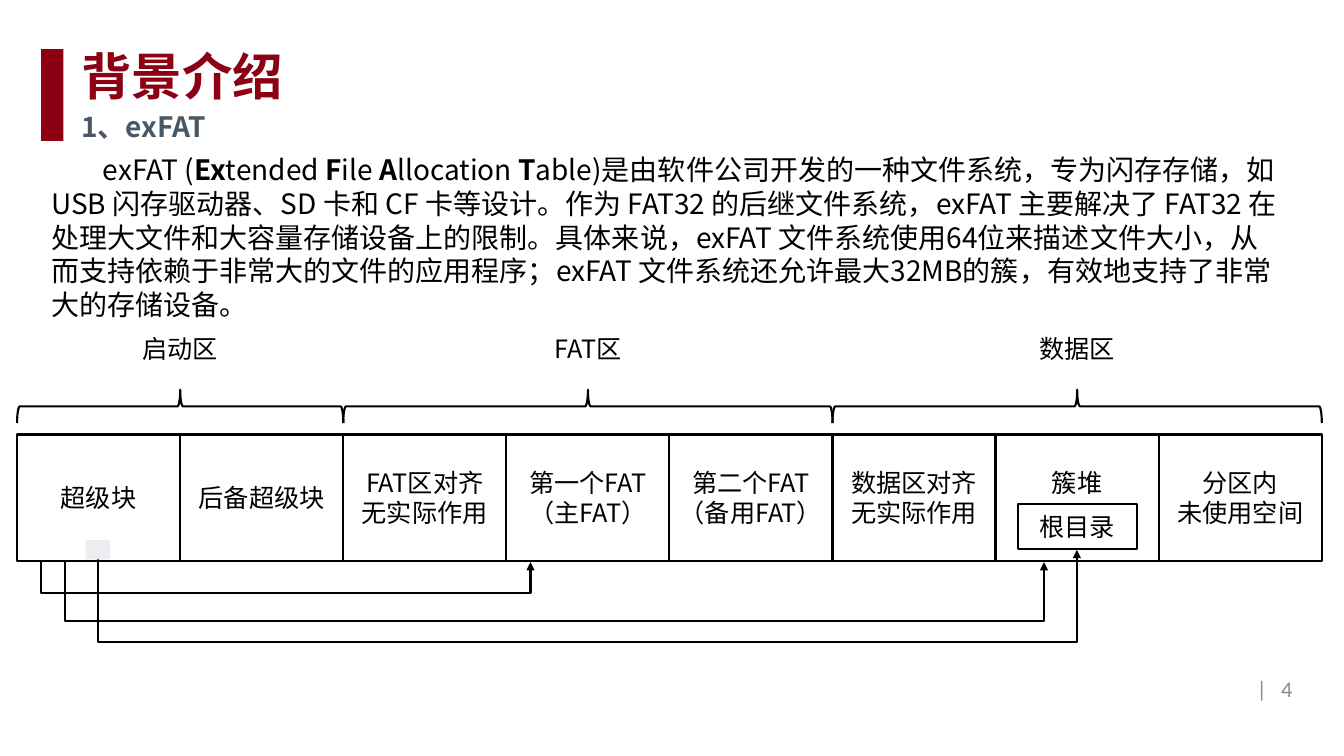
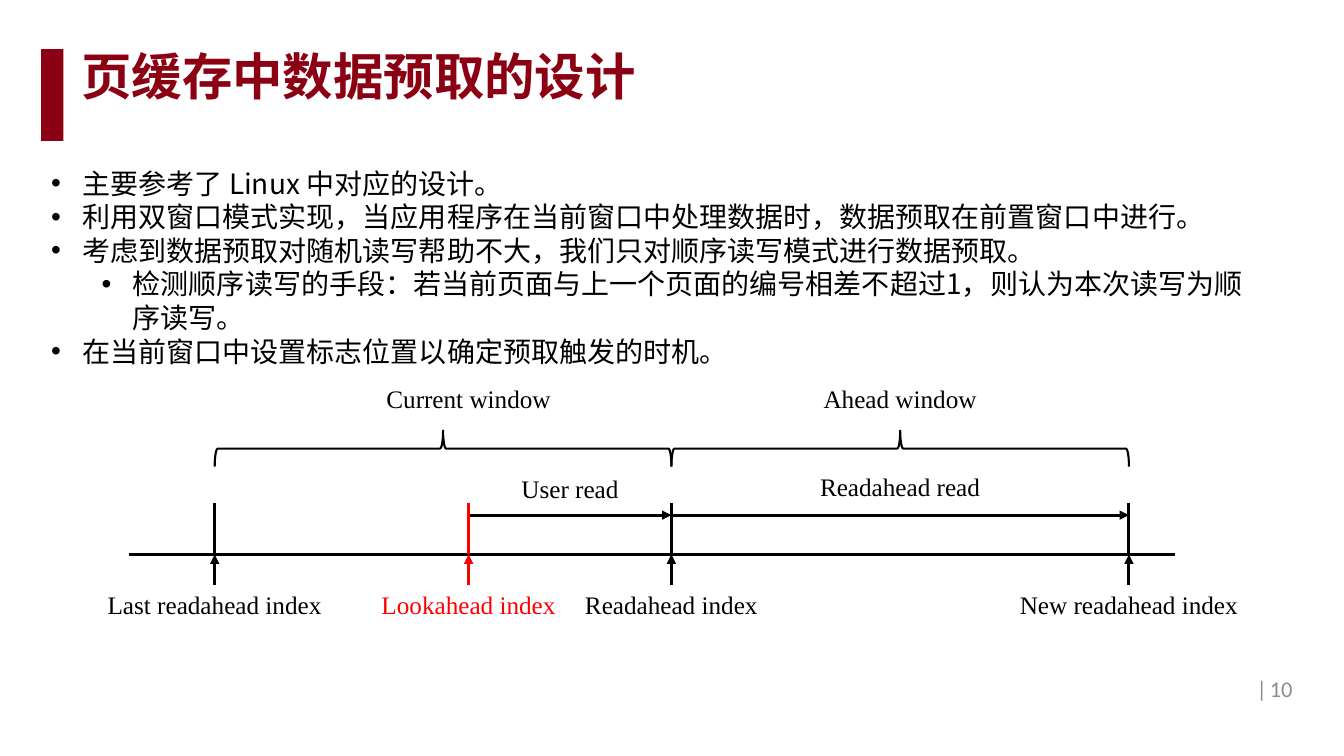
from dataclasses import dataclass

from pptx import Presentation
from pptx.dml.color import RGBColor
from pptx.enum.shapes import MSO_CONNECTOR, MSO_SHAPE
from pptx.enum.text import MSO_ANCHOR, PP_ALIGN
from pptx.oxml.ns import qn
from pptx.util import Cm, Pt
from lxml.etree import SubElement


@dataclass(frozen=True)
class Theme:
    crimson: str = "8B0012"
    slate: str = "485766"
    gray: str = "8C8C8C"
    pale: str = "EDEDF1"
    black: str = "000000"
    red: str = "FF0000"
    sans: str = "Noto Sans CJK SC"
    serif: str = "Times New Roman"
    footer: str = "Calibri"
    title_size: int = 36
    body_size: int = 20
    label_size: int = 18
    footer_size: int = 16
    thin: float = 1.5
    thick: float = 2.25


THEME = Theme()
LABEL_HEIGHT = 1.02

CELL_LEFT, CELL_TOP, CELL_WIDTH, CELL_HEIGHT = 0.43, 10.95, 4.11, 3.18
CELLS = [
    "超级块", "后备超级块", "FAT区对齐\n无实际作用", "第一个FAT\n（主FAT）",
    "第二个FAT\n（备用FAT）", "数据区对齐\n无实际作用", "簇堆", "分区内\n未使用空间",
]
HEAP = CELLS.index("簇堆")
ZONES = [("启动区", 0, 2), ("FAT区", 2, 5), ("数据区", 5, 8)]
LINKS = [(0.61, 3, 14.13, 14.95), (1.22, HEAP, 14.13, 15.67), (2.05, HEAP, 13.82, 16.2)]
INTRO = [
    ("exFAT (", False), ("Ex", True), ("tended ", False), ("F", True), ("ile ", False),
    ("A", True), ("llocation ", False), ("T", True),
    ("able)是由软件公司开发的一种文件系统，专为闪存存储，如 USB 闪存驱动器、SD 卡和 CF 卡等设计。"
     "作为 FAT32 的后继文件系统，exFAT 主要解决了 FAT32 在处理大文件和大容量存储设备上的限制。"
     "具体来说，exFAT 文件系统使用64位来描述文件大小，从而支持依赖于非常大的文件的应用程序；"
     "exFAT 文件系统还允许最大32MB的簇，有效地支持了非常大的存储设备。", False),
]

AXIS_Y, TICK_TOP, READ_Y, POINTER_Y = 13.97, 12.67, 12.98, 14.73
LAST, LOOKAHEAD, READAHEAD, NEW = 5.41, 11.81, 16.92, 28.45
MARKS = [
    (LAST, "Last readahead index", THEME.black),
    (LOOKAHEAD, "Lookahead index", THEME.red),
    (READAHEAD, "Readahead index", THEME.black),
    (NEW, "New readahead index", THEME.black),
]
WINDOWS = [("Current window", LAST, READAHEAD, LOOKAHEAD),
           ("Ahead window", READAHEAD, NEW, (READAHEAD + NEW) / 2)]
READS = [("User read", LOOKAHEAD, READAHEAD, 11.81),
         ("Readahead read", READAHEAD, NEW, 11.76)]
POINTS = [
    ("主要参考了 Linux 中对应的设计。", 0),
    ("利用双窗口模式实现，当应用程序在当前窗口中处理数据时，数据预取在前置窗口中进行。", 0),
    ("考虑到数据预取对随机读写帮助不大，我们只对顺序读写模式进行数据预取。", 0),
    ("检测顺序读写的手段：若当前页面与上一个页面的编号相差不超过1，则认为本次读写为顺序读写。", 1),
    ("在当前窗口中设置标志位置以确定预取触发的时机。", 0),
]


def color(value):
    return RGBColor.from_string(value)


def style_span(span, size, ink=THEME.black, face=THEME.sans, bold=False):
    span.font.size = Pt(size)
    span.font.bold = bold
    span.font.name = face
    span.font.color.rgb = color(ink)
    SubElement(span.font._element, qn("a:ea")).set("typeface", face)


def style_frame(frame, size, ink=THEME.black, face=THEME.sans, bold=False, align=PP_ALIGN.LEFT):
    for para in frame.paragraphs:
        para.alignment = align
        for span in para.runs:
            style_span(span, size, ink, face, bold)


def add_frame(page, left, top, width, height):
    box = page.shapes.add_textbox(Cm(left), Cm(top), Cm(width), Cm(height))
    box.text_frame.word_wrap = True
    return box.text_frame


def add_text(page, text, left, top, width, height, size, **style):
    frame = add_frame(page, left, top, width, height)
    frame.text = text
    style_frame(frame, size, **style)
    return frame


def add_label(page, text, center, top, width, ink=THEME.black, face=THEME.sans):
    add_text(page, text, center - width / 2, top, width, LABEL_HEIGHT, THEME.label_size,
             ink=ink, face=face, align=PP_ALIGN.CENTER)


def add_block(page, left, top, width, height, fill=None, kind=MSO_SHAPE.RECTANGLE):
    shape = page.shapes.add_shape(kind, Cm(left), Cm(top), Cm(width), Cm(height))
    shape.shadow.inherit = False
    if fill:
        shape.fill.solid()
        shape.fill.fore_color.rgb = color(fill)
        shape.line.fill.background()
    else:
        shape.fill.background()
        shape.line.color.rgb = color(THEME.black)
        shape.line.width = Pt(THEME.thin)
    return shape


def add_cell(page, text, left, top, width, height):
    shape = add_block(page, left, top, width, height)
    frame = shape.text_frame
    frame.word_wrap = True
    frame.vertical_anchor = MSO_ANCHOR.MIDDLE
    frame.text = text
    style_frame(frame, THEME.label_size, align=PP_ALIGN.CENTER)
    return shape


def add_brace(page, left, right, top, height):
    span, middle = right - left, (left + right) / 2
    brace = add_block(page, middle - height / 2, top + height / 2 - span / 2, height, span,
                      kind=MSO_SHAPE.LEFT_BRACE)
    brace.rotation = 90


def add_line(page, start, end, ink=THEME.black, weight=THEME.thick, arrow=False,
             kind=MSO_CONNECTOR.STRAIGHT):
    line = page.shapes.add_connector(kind, *(Cm(value) for value in (*start, *end)))
    line.line.color.rgb = color(ink)
    line.line.width = Pt(weight)
    if arrow:
        SubElement(line.line._get_or_add_ln(), qn("a:tailEnd")).set("type", "triangle")
    SubElement(line._element.spPr, qn("a:effectLst"))
    return line


def add_link(page, left, right, top, bottom):
    link = add_line(page, (left, top), (right, top), weight=THEME.thin, arrow=True,
                    kind=MSO_CONNECTOR.ELBOW)
    thickness, length = Pt(1), Cm(right - left)
    link.left = Cm((left + right) / 2) - thickness // 2
    link.top = Cm(top) + thickness // 2 - length // 2
    link.width, link.height = thickness, length
    properties = link._element.spPr
    frame = properties.find(qn("a:xfrm"))
    frame.set("rot", "16200000")
    frame.set("flipH", "1")
    guide = SubElement(properties.find(qn("a:prstGeom")).find(qn("a:avLst")), qn("a:gd"))
    guide.set("name", "adj1")
    guide.set("fmla", f"val {round(Cm(bottom - top) / thickness * 100000)}")


def add_bullets(page, points, left, top, width, height):
    frame = add_frame(page, left, top, width, height)
    frame.text = "\n".join(text for text, level in points)
    for para, (text, level) in zip(frame.paragraphs, points):
        para.level = level
        properties = para._p.get_or_add_pPr()
        properties.set("marL", str(Cm(0.79 + 1.27 * level)))
        properties.set("indent", str(Cm(-0.79)))
        SubElement(properties, qn("a:buFont")).set("typeface", "Arial")
        SubElement(properties, qn("a:buChar")).set("char", "•")
    style_frame(frame, THEME.body_size)


def add_page(deck, title, number):
    page = deck.slides.add_slide(deck.slide_layouts[6])
    add_text(page, title, 1.8, 1.02, 22.76, 1.8, THEME.title_size, ink=THEME.crimson, bold=True)
    add_block(page, 1.04, 1.24, 0.56, 2.31, THEME.crimson)
    for text, left in (("|", 24.56), (number, 25.2)):
        frame = add_text(page, text, left, 16.84, 7.62, LABEL_HEIGHT, THEME.footer_size,
                         ink=THEME.gray, face=THEME.footer, align=PP_ALIGN.RIGHT)
        frame.vertical_anchor = MSO_ANCHOR.MIDDLE
    return page


def cell_left(index):
    return CELL_LEFT + index * CELL_WIDTH


def build_background(deck):
    page = add_page(deck, "背景介绍", "4")
    add_text(page, "1、exFAT", 1.8, 2.64, 9.68, 1.12, THEME.body_size,
             ink=THEME.slate, bold=True)
    para = add_frame(page, 1.04, 3.73, 31.5, 4.52).paragraphs[0]
    para._p.get_or_add_pPr().set("indent", str(Cm(1.3)))
    for text, bold in INTRO:
        span = para.add_run()
        span.text = text
        style_span(span, THEME.body_size, bold=bold)
    for index, text in enumerate(CELLS):
        cell = add_cell(page, text, cell_left(index), CELL_TOP, CELL_WIDTH, CELL_HEIGHT)
        if index == HEAP:
            cell.text_frame.margin_bottom = Cm(0.91)
    add_cell(page, "根目录", cell_left(HEAP + 0.5) - 1.5, 12.7, 3, 1.14)
    for text, first, last in ZONES:
        left, right = cell_left(first), cell_left(last)
        add_brace(page, left, right, 9.82, 0.84)
        add_label(page, text, (left + right) / 2, 8.28, 2.84)
    for offset, target, top, bottom in LINKS:
        add_link(page, CELL_LEFT + offset, cell_left(target) + offset, top, bottom)
    add_block(page, 2.16, 13.61, 0.61, 0.49, THEME.pale)


def build_readahead(deck):
    page = add_page(deck, "页缓存中数据预取的设计", "10")
    add_bullets(page, POINTS, 1.04, 4.06, 31.01, 5.38)
    add_line(page, (3.25, AXIS_Y), (29.62, AXIS_Y))
    for text, left, right, center in WINDOWS:
        add_brace(page, left, right, 10.85, 0.91)
        add_label(page, text, center, 9.53, 6.81, face=THEME.serif)
    for text, left, right, top in READS:
        add_line(page, (left, READ_Y), (right, READ_Y), arrow=True)
        add_label(page, text, (left + right) / 2, top, 5.6, face=THEME.serif)
    for place, text, ink in MARKS:
        add_line(page, (place, TICK_TOP), (place, AXIS_Y), ink)
        add_line(page, (place, POINTER_Y), (place, AXIS_Y), ink, arrow=True)
        add_label(page, text, place, POINTER_Y, 6.81, ink, THEME.serif)


def main():
    deck = Presentation()
    deck.slide_width, deck.slide_height = Cm(33.87), Cm(19.05)
    build_background(deck)
    build_readahead(deck)
    deck.save("out.pptx")


if __name__ == "__main__":
    main()
